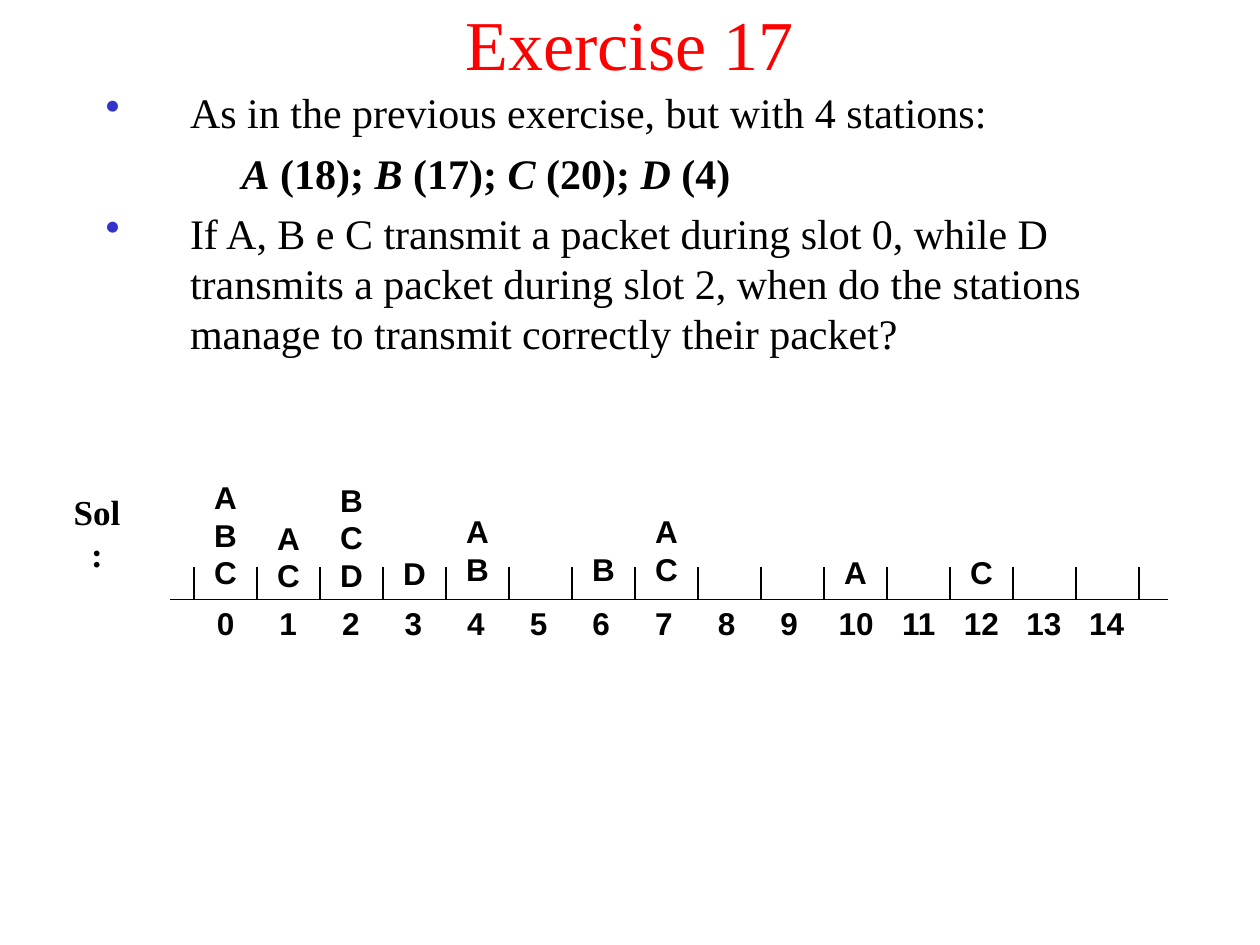
"""Builds the Exercise 17 slide: a question and a slot timeline of station transmissions."""
from lxml import etree
from pptx import Presentation
from pptx import util as u
from pptx.dml.color import RGBColor
from pptx.enum import shapes, text
from pptx.oxml import ns

BLACK = RGBColor(0, 0, 0)
RED = RGBColor(0xFF, 0, 0)
BLUE = RGBColor(0x33, 0x33, 0xCC)
SERIF, SANS = "Times New Roman", "Arial"

TITLE = "Exercise 17"
INTRO = "As in the previous exercise, but with 4 stations:"
PERIODS = [("A", " (18); "), ("B", " (17); "), ("C", " (20); "), ("D", " (4)")]
QUESTION = ("If A, B e C transmit a packet during slot 0, while D transmits a packet "
            "during slot 2, when do the stations manage to transmit correctly their packet?")
SOLUTION = "Sol:"
SLOT_COUNT = 15
TRANSMISSIONS = [
    (0, "ABC", 4.75), (1, "AC", 4.77), (2, "BCD", 4.77), (3, "D", 4.75), (4, "AB", 4.72),
    (6, "B", 4.72), (7, "AC", 4.72), (10, "A", 4.74), (12, "C", 4.74),
]

AXIS_LEFT, AXIS_RIGHT, AXIS_TOP = 1.35, 9.27, 4.76
FIRST_TICK, SLOT_WIDTH, TICK_HEIGHT = 1.54, 0.5, 0.25
FIRST_CENTER, NUMBER_STEP = FIRST_TICK + SLOT_WIDTH / 2, 0.497
LINE_HEIGHT, PADDING = 0.3, 0.1
LEADING = 1.19

deck = Presentation()
deck.slide_width, deck.slide_height = u.Inches(10), u.Inches(7.5)
slide = deck.slides.add_slide(deck.slide_layouts[6])


def style(paragraph, size, font, color=BLACK, bold=False):
    paragraph.line_spacing = u.Pt(round(size * LEADING, 2))
    for run in paragraph.runs:
        run.font.size, run.font.name, run.font.bold = u.Pt(size), font, bold
        run.font.color.rgb = color


def add_text(left, top, width, height, lines, size, font, color=BLACK, bold=False, wrap=False):
    frame = slide.shapes.add_textbox(*map(u.Inches, (left, top, width, height))).text_frame
    frame.text = "\n".join(lines)
    frame.word_wrap = wrap
    for paragraph in frame.paragraphs:
        paragraph.alignment = text.PP_ALIGN.CENTER
        style(paragraph, size, font, color, bold)
    return frame


def add_line(x1, y1, x2, y2):
    line = slide.shapes.add_connector(
        shapes.MSO_CONNECTOR.STRAIGHT, *map(u.Inches, (x1, y1, x2, y2)))
    line.line.color.rgb, line.line.width = BLACK, u.Pt(0.75)
    etree.SubElement(line._element.spPr, ns.qn("a:effectLst"))


def indent(paragraph, margin, first=0, bullet=False):
    properties = paragraph._p.get_or_add_pPr()
    properties.set("marL", str(u.Inches(margin)))
    properties.set("indent", str(u.Inches(first)))
    if bullet:
        bullet_color = etree.SubElement(properties, ns.qn("a:buClr"))
        etree.SubElement(bullet_color, ns.qn("a:srgbClr")).set("val", str(BLUE))
        etree.SubElement(properties, ns.qn("a:buChar")).set("char", "•")


def add_question():
    frame = add_text(0.74, 0.69, 8.5, 5.1, [INTRO, "", QUESTION], 24, SERIF, wrap=True)
    frame.margin_top = 0
    intro, periods, question = frame.paragraphs
    for paragraph in frame.paragraphs:
        paragraph.alignment = text.PP_ALIGN.LEFT
        paragraph.space_before = u.Pt(6)
    for station, period in PERIODS:
        for part, italic in ((station, True), (period, False)):
            run = periods.add_run()
            run.text, run.font.italic = part, italic
    style(periods, 24, SERIF, bold=True)
    indent(periods, 1.08)
    for paragraph in (intro, question):
        indent(paragraph, 0.67, -0.67, bullet=True)


def add_timeline():
    add_line(AXIS_LEFT, AXIS_TOP, AXIS_RIGHT, AXIS_TOP)
    for tick in range(SLOT_COUNT + 1):
        x = FIRST_TICK + tick * SLOT_WIDTH
        add_line(x, 4.75, x, 4.75 - TICK_HEIGHT)
    for slot in range(SLOT_COUNT):
        label, width = (str(slot), 0.34) if slot < 10 else (f" {slot}", 0.55)
        left = FIRST_CENTER + slot * NUMBER_STEP - width / 2
        add_text(left, 4.75, width, LINE_HEIGHT + PADDING, [label], 18, SANS, bold=True)
    for slot, stations, bottom in TRANSMISSIONS:
        height = len(stations) * LINE_HEIGHT + PADDING
        left = FIRST_CENTER + slot * SLOT_WIDTH - 0.19
        add_text(left, bottom - height, 0.38, height, stations, 18, SANS, bold=True)


title = add_text(0, 0, 10, 0.68, [TITLE], 40, SERIF, RED, wrap=True)
title.vertical_anchor = text.MSO_ANCHOR.MIDDLE
add_question()
add_timeline()
add_text(0.44, 3.85, 0.66, 0.44, [SOLUTION], 20, SERIF, bold=True)
deck.save("out.pptx")
